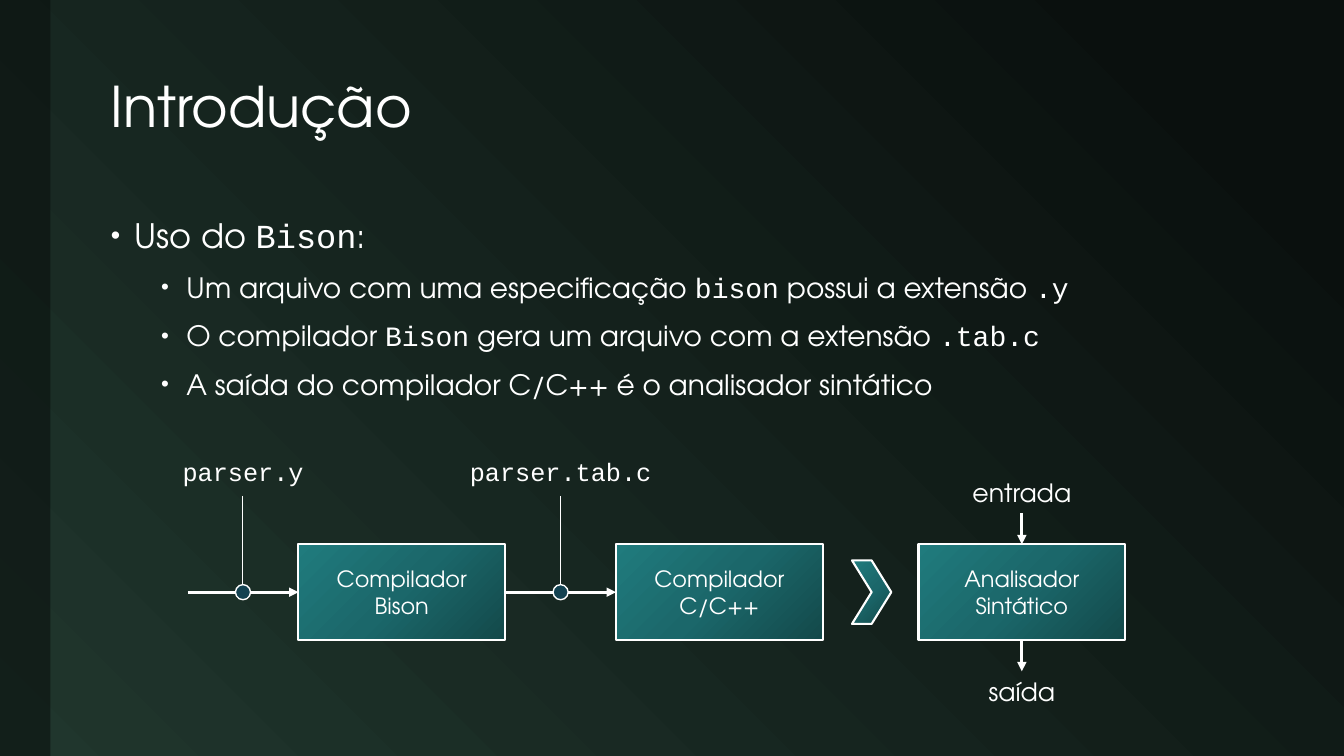
from lxml import etree
from pptx import Presentation
from pptx.dml.color import RGBColor
from pptx.enum.shapes import MSO_CONNECTOR, MSO_SHAPE
from pptx.enum.text import MSO_ANCHOR, PP_ALIGN
from pptx.oxml.ns import qn
from pptx.util import Inches, Pt

RECT, OVAL, CHEVRON = MSO_SHAPE.RECTANGLE, MSO_SHAPE.OVAL, MSO_SHAPE.CHEVRON
STRAIGHT = MSO_CONNECTOR.STRAIGHT
MIDDLE = MSO_ANCHOR.MIDDLE
LEFT, CENTER = PP_ALIGN.LEFT, PP_ALIGN.CENTER
TOP_SIDE, LEFT_SIDE, BOTTOM_SIDE, RIGHT_SIDE = range(4)

# Content
SANS, MONO = "TeX Gyre Adventor", "Courier New"
WHITE, DARK, NAVY = "FFFFFF", "0A100E", "134251"
BACKDROP = [(10, DARK), (100, "20362D")]
TEAL = [(0, "13494A"), (50, "1B676A"), (100, "207B7D")]

TITLE = "Introdução"
BULLETS = [  # level, runs as (text, font)
    (0, [("Uso do ", SANS), ("Bison", MONO), (":", SANS)]),
    (1, [("Um arquivo com uma especificação ", SANS), ("bison", MONO),
         (" possui a extensão ", SANS), (".y", MONO)]),
    (1, [("O compilador ", SANS), ("Bison", MONO),
         (" gera um arquivo com a extensão ", SANS), (".tab.c", MONO)]),
    (1, [("A saída do compilador C/C++ é o analisador sintático", SANS)]),
]
LEVELS = [(24, 0.24, 0.24, 18), (20, 0.75, 0.25, 6)]  # size, margin, hanging, space before
STAGES = [("Compilador Bison", 2.96), ("Compilador C/C++", 6.11), ("Analisador Sintático", 9.11)]
FILES = ["parser.y", "parser.tab.c"]

# Diagram measures
BOX_TOP, BOX_W, BOX_H = 5.4, 2.05, 0.95
FLOW_Y = BOX_TOP + BOX_H / 2
FLOW_LEN = STAGES[1][1] - STAGES[0][1] - BOX_W
STEM = 0.31
DOT = 0.15
FILE_TOP, PIN_TOP, LABEL_H = 4.48, 4.92, 0.4


def rgb(value):
    return RGBColor.from_string(value)


def set_gradient(fill, owner, stops, clockwise):
    fill.gradient()
    fill.gradient_angle = 360 - clockwise
    stop_list = owner.find(".//" + qn("a:gsLst"))
    for old in list(stop_list):
        stop_list.remove(old)
    for position, color in stops:
        stop = etree.SubElement(stop_list, qn("a:gs"), pos=str(position * 1000))
        etree.SubElement(stop, qn("a:srgbClr"), val=color)


def set_font(paragraph, size, name=None):
    paragraph.font.size = Pt(size)
    paragraph.font.color.rgb = rgb(WHITE)
    if name:
        paragraph.font.name = name


def add_preset(kind, x, y, w, h, fill, line_width):
    shape = slide.shapes.add_shape(kind, Inches(x), Inches(y), Inches(w), Inches(h))
    shape.shadow.inherit = False
    if isinstance(fill, list):
        set_gradient(shape.fill, shape._element.spPr, fill, 225)
    else:
        shape.fill.solid()
        shape.fill.fore_color.rgb = rgb(fill)
    if line_width:
        shape.line.color.rgb = rgb(WHITE)
        shape.line.width = Pt(line_width)
    else:
        shape.line.fill.background()
    return shape


def add_textbox(x, y, w, h, wrap=True):
    frame = slide.shapes.add_textbox(Inches(x), Inches(y), Inches(w), Inches(h)).text_frame
    frame.word_wrap = wrap
    return frame


def add_label(text, center_x, top, width, font):
    paragraph = add_textbox(center_x - width / 2, top, width, LABEL_H, False).paragraphs[0]
    paragraph.text = text
    paragraph.alignment = CENTER
    set_font(paragraph, 18, font)


def add_line(x1, y1, x2, y2, width, arrow=False):
    line = slide.shapes.add_connector(STRAIGHT, Inches(x1), Inches(y1), Inches(x2), Inches(y2))
    line.line.color.rgb = rgb(WHITE)
    line.line.width = Pt(width)
    if arrow:
        etree.SubElement(line.line._get_or_add_ln(), qn("a:tailEnd"), type="triangle")
    etree.SubElement(line._element.spPr, qn("a:effectLst"))
    return line


prs = Presentation()
prs.slide_width, prs.slide_height = Inches(13.33), Inches(7.5)
slide = prs.slides.add_slide(prs.slide_layouts[6])

# Background and translucent side band
set_gradient(slide.background.fill, slide._element, BACKDROP, 135)
band = add_preset(RECT, 0, 0, 0.5, 7.5, DARK, 0)
etree.SubElement(band._element.spPr.find(".//" + qn("a:srgbClr")), qn("a:alpha"), val="60000")

# Title
title = add_textbox(1, 0.42, 11.65, 1.33)
title.vertical_anchor = MIDDLE
title.text = TITLE
title.paragraphs[0].line_spacing = 0.9
set_font(title.paragraphs[0], 40, SANS)

# Bullets
body = add_textbox(1, 2, 11.65, 2.3)
for index, (level, runs) in enumerate(BULLETS):
    size, margin, hanging, before = LEVELS[level]
    paragraph = body.add_paragraph() if index else body.paragraphs[0]
    paragraph.level = level
    paragraph.alignment = LEFT
    paragraph.line_spacing = 1.2
    if index:
        paragraph.space_before = Pt(before)
    props = paragraph._p.get_or_add_pPr()
    props.set("marL", str(Inches(margin)))
    props.set("indent", str(-Inches(hanging)))
    etree.SubElement(props, qn("a:buSzPct"), val="80000")
    etree.SubElement(props, qn("a:buFont"), typeface="Arial")
    etree.SubElement(props, qn("a:buChar"), char="•")
    set_font(paragraph, size)
    for text, font in runs:
        run = paragraph.add_run()
        run.text = text
        run.font.name = font

# Stage boxes
boxes = []
for name, x in STAGES:
    box = add_preset(RECT, x, BOX_TOP, BOX_W, BOX_H, TEAL, 1.5)
    box.text_frame.word_wrap = True
    box.text_frame.vertical_anchor = MIDDLE
    paragraph = box.text_frame.paragraphs[0]
    paragraph.text = name
    paragraph.alignment = CENTER
    set_font(paragraph, 16, SANS)
    boxes.append(box)
bison, compiler, parser = boxes

# Files flowing into the two compilers
for index, (file_name, (_, box_x)) in enumerate(zip(FILES, STAGES)):
    flow = add_line(box_x - FLOW_LEN, FLOW_Y, box_x, FLOW_Y, 2.25, True)
    if index:
        flow.begin_connect(boxes[index - 1], RIGHT_SIDE)
    flow.end_connect(boxes[index], LEFT_SIDE)
    middle = box_x - FLOW_LEN / 2
    add_label(file_name, middle, FILE_TOP, 0.21 + 0.15 * len(file_name), MONO)
    add_line(middle, PIN_TOP, middle, FLOW_Y - DOT / 2, 0.75)
    add_preset(OVAL, middle - DOT / 2, FLOW_Y - DOT / 2, DOT, DOT, NAVY, 1)

# Generated parser with its input and output
add_preset(CHEVRON, 8.45, 5.56, 0.39, 0.63, TEAL, 1.5)
parser_x = STAGES[2][1] + BOX_W / 2
box_bottom = BOX_TOP + BOX_H
entry = add_line(parser_x, BOX_TOP - STEM, parser_x, BOX_TOP, 2.25, True)
entry.end_connect(parser, TOP_SIDE)
result = add_line(parser_x, box_bottom, parser_x, box_bottom + STEM, 2.25, True)
result.begin_connect(parser, BOTTOM_SIDE)
add_label("entrada", parser_x, BOX_TOP - STEM - LABEL_H, 1.2, SANS)
add_label("saída", parser_x, box_bottom + STEM, 0.87, SANS)

prs.save("out.pptx")
